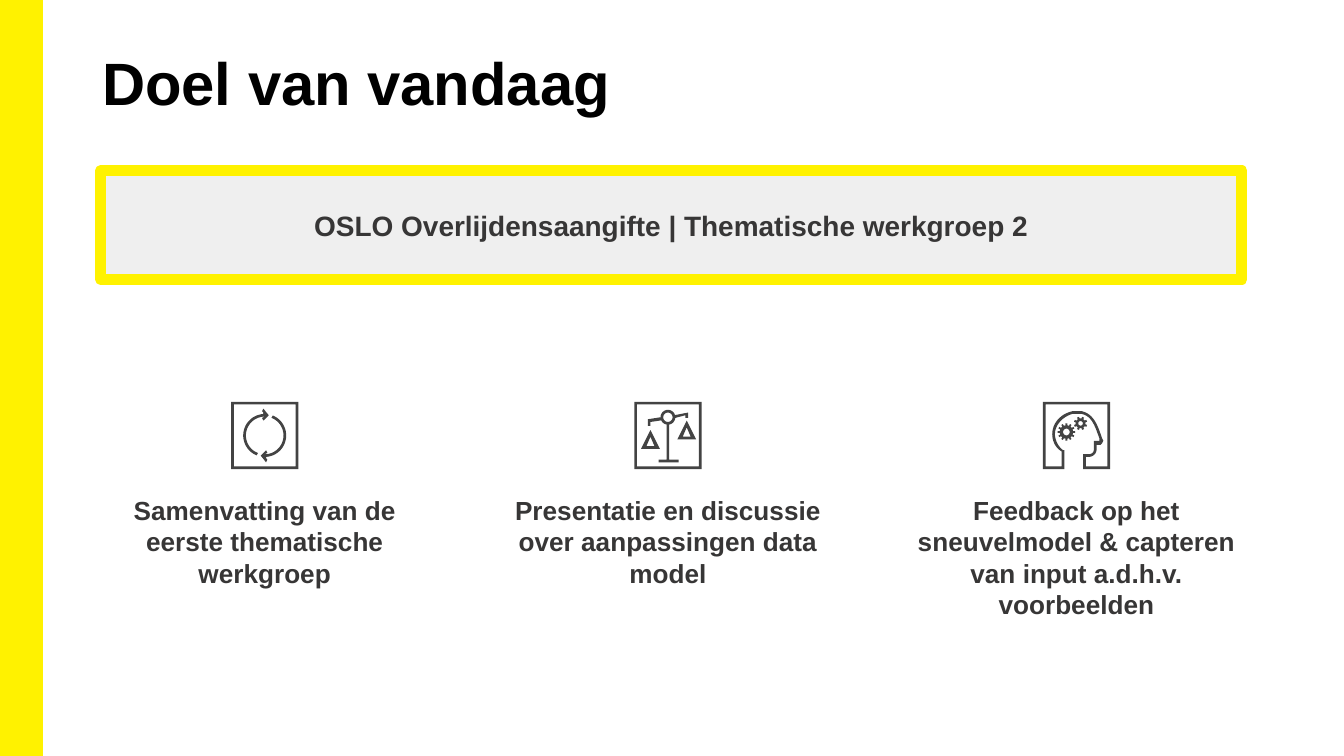
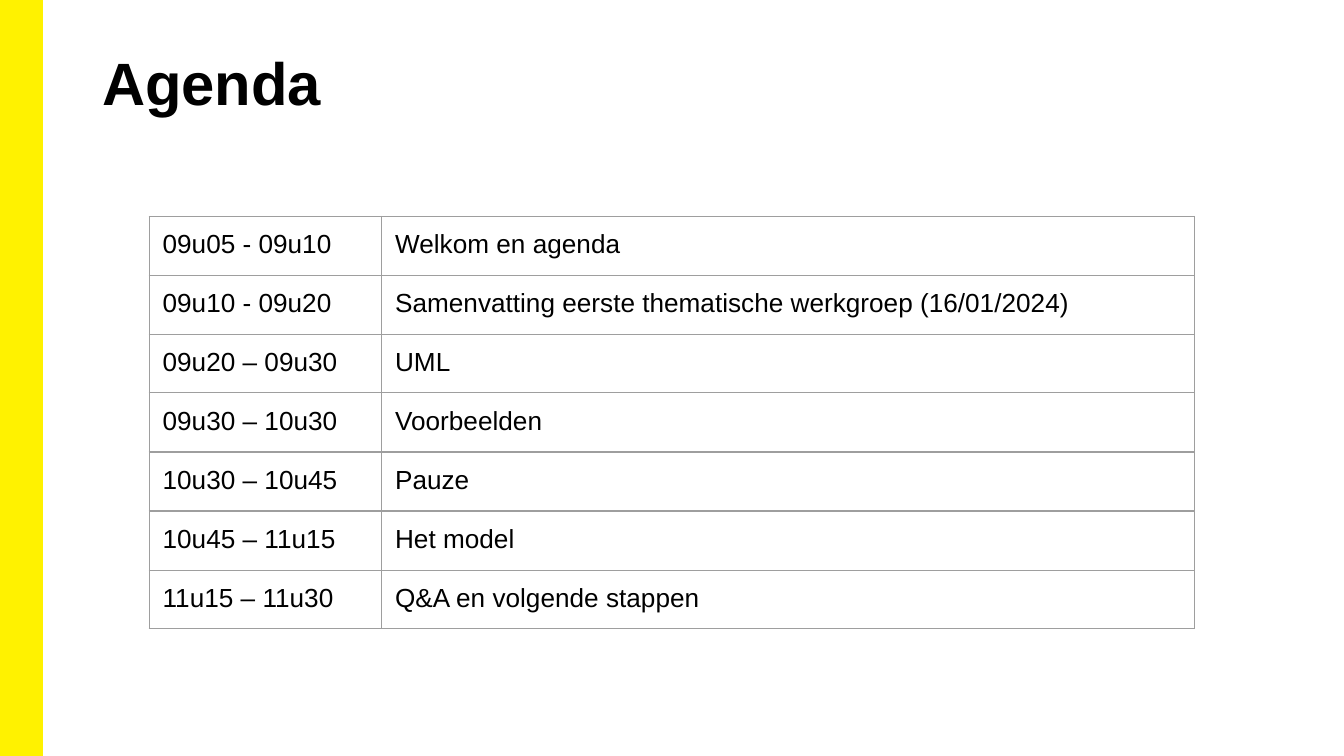
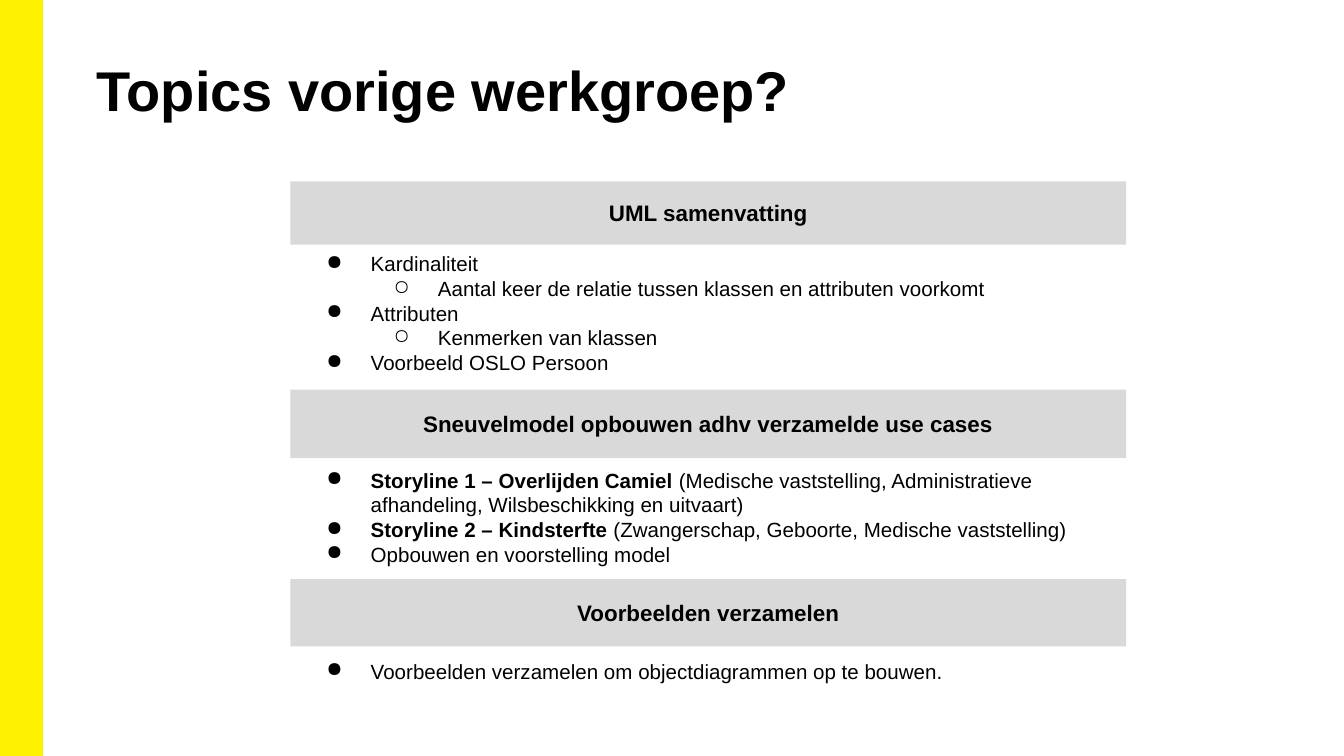
from math import cos, pi, radians, sin

from lxml.etree import SubElement
from pptx import Presentation
from pptx.dml.color import RGBColor
from pptx.enum.shapes import MSO_SHAPE as SHAPE
from pptx.enum.text import MSO_ANCHOR as ANCHOR, MSO_AUTO_SIZE as AUTO, PP_ALIGN as ALIGN
from pptx.oxml import parse_xml
from pptx.oxml.ns import nsdecls, qn
from pptx.util import Pt

PX = 9144  # EMU per px, 100 px to the inch
FONT = "Arial"
YELLOW = RGBColor(0xFF, 0xF2, 0x00)
BLACK = RGBColor(0x00, 0x00, 0x00)
INK = RGBColor(0x37, 0x36, 0x36)
ICON_GREY = RGBColor(0x43, 0x43, 0x43)
PALE = RGBColor(0xEF, 0xEF, 0xEF)
HEADING_GREY = RGBColor(0xD9, 0xD9, 0xD9)
RULE_GREY = RGBColor(0x9E, 0x9E, 0x9E)


# Shared helpers
def emu(*lengths):
    return [round(v * PX) for v in lengths]


def add_run(p, text, size, color=BLACK, bold=False):
    r = p.add_run()
    r.text = text
    r.font.name, r.font.size, r.font.bold = FONT, Pt(size), bold
    r.font.color.rgb = color


def set_frame(tf, insets, anchor=ANCHOR.TOP):
    tf.word_wrap = True
    tf.vertical_anchor = anchor
    tf.margin_left, tf.margin_top, tf.margin_right, tf.margin_bottom = emu(*insets)
    return tf


def add_text(s, box, insets):
    return set_frame(s.shapes.add_textbox(*emu(*box)).text_frame, insets)


def add_rect(s, box, fill, line=None, width=1):
    sp = s.shapes.add_shape(SHAPE.RECTANGLE, *emu(*box))
    sp.shadow.inherit = False
    sp.fill.solid()
    sp.fill.fore_color.rgb = fill
    if line is None:
        sp.line.fill.background()
    else:
        sp.line.color.rgb = line
        sp.line.width = Pt(width)
    return sp


def add_label(sp, text, size, color, insets):
    p = set_frame(sp.text_frame, insets, ANCHOR.MIDDLE).paragraphs[0]
    p.alignment = ALIGN.CENTER
    add_run(p, text, size, color, True)


def new_slide(prs, title, box=(69, 30, 862, 81), size=32):
    s = prs.slides.add_slide(prs.slide_layouts[6])
    add_rect(s, (0, 0, 31, prs.slide_height / PX), YELLOW, YELLOW)
    tf = add_text(s, box, (7, 4, 7, 4))
    add_run(tf.paragraphs[0], title, size, bold=True)
    return s


# Icon geometry: outlines on a 50 by 50 px grid
def arc(cx, cy, r, start, end, steps=24):
    angles = [radians(start + (end - start) * i / steps) for i in range(steps + 1)]
    return [(cx + r * cos(a), cy + r * sin(a)) for a in angles]


def curve(a, b, c, d, steps=12):
    points = []
    for i in range(steps + 1):
        t = i / steps
        u = 1 - t
        points.append(tuple(u**3 * a[k] + 3 * u * u * t * b[k] + 3 * u * t * t * c[k] + t**3 * d[k]
                            for k in (0, 1)))
    return points


def square(inset):
    far = 50 - inset
    return [(inset, inset), (inset, far), (far, far), (far, inset)]


def gear(cx, cy, tip, root, hole, teeth, turn=0):
    step = 2 * pi / teeth
    rim = []
    for i in range(teeth):
        for r, offset in ((root, -0.25), (tip, -0.2), (tip, 0.2), (root, 0.25)):
            a = radians(turn) + (i + offset) * step
            rim.append((cx + r * cos(a), cy + r * sin(a)))
    return [rim, arc(cx, cy, hole, 0, 360)]


def cycle_icon():
    arrow = (arc(25, 25, 14, 111, 270)
             + [(23, 12), (24, 14), (28, 10), (24, 5), (23, 7), (24, 8)]
             + arc(25, 25, 16, 266, 112))
    turned = [(50 - x, 50 - y) for x, y in arrow]
    return [[square(0), square(2)], [arrow], [turned]]


def scales_icon():
    pan = [[(12, 21), (5, 35), (19, 35)], [(12, 26), (15, 33), (9, 33)]]
    raised_pan = [[(x + 27, y - 7) for x, y in outline] for outline in pan]
    pivot = (25, 11.5)
    stand = ([(12, 15)] + arc(*pivot, 5.5, 155, 100)
             + [(24, 43), (18, 43), (18, 45), (33, 45), (33, 43), (26, 43)]
             + arc(*pivot, 5.5, 80, 5)
             + [(38, 10), (38, 12), (40, 12), (40, 8)]
             + arc(*pivot, 5.5, -17, -180)
             + [(10, 13), (10, 18), (12, 18)])
    return [[square(0), square(2), *pan, *raised_pan, stand, arc(*pivot, 3.5, 0, 360)]]


def head_icon():
    outer = ([(0, 0), (0, 50), (16, 50), (16, 36)]
             + curve((15, 36), (11, 33), (9, 28), (9, 24))
             + curve((9, 24), (9, 17), (15, 11), (22, 9))
             + curve((29, 9), (37, 11), (39, 19), (42, 27))
             + [(42, 29), (38, 29)]
             + curve((38, 35), (38, 38), (36, 39), (34, 39))
             + [(30, 39), (30, 50), (50, 50), (50, 0)])
    inner = ([(48, 48), (32, 48), (32, 41)]
             + curve((34, 41), (37, 41), (40, 39), (40, 35))
             + [(40, 32), (43, 32), (44, 31), (45, 29)]
             + curve((44, 27), (41, 18), (38, 9), (29, 7))
             + curve((22, 7), (13, 9), (7, 16), (7, 24))
             + curve((7, 24), (7, 29), (9, 34), (14, 37))
             + [(14, 48), (2, 48), (2, 2), (48, 2)])
    return [[outer, inner], gear(17.5, 22.5, 6.5, 5, 2.5, 12), gear(28, 16, 5, 3.7, 1.7, 8, 22.5)]


def add_icon(s, left, top, parts):
    shapes = []
    for first, *others in parts:
        first = [emu(*pt) for pt in first]
        fb = s.shapes.build_freeform(*first[0])
        fb.add_line_segments(first[1:], close=True)
        for outline in others:
            outline = [emu(*pt) for pt in outline]
            fb.move_to(*outline[0])
            fb.add_line_segments(outline[1:], close=True)
        sp = fb.convert_to_shape(*emu(left, top))
        sp.shadow.inherit = False
        sp.fill.solid()
        sp.fill.fore_color.rgb = ICON_GREY
        sp.line.fill.background()
        shapes.append(sp)
    if len(shapes) > 1:
        s.shapes.add_group_shape(shapes)


# Slide 1: goals
def add_goal(s, box, icon_left, icon, text):
    left, top, width, height = box
    add_icon(s, icon_left, top - 64, icon)
    p = add_text(s, (left, top, width, height), (10, 5, 10, 5)).paragraphs[0]
    p.alignment = ALIGN.CENTER
    add_run(p, text, 14, INK, True)


def goals_slide(prs):
    s = new_slide(prs, "Doel van vandaag")
    banner = add_rect(s, (75, 127, 849, 81), PALE, YELLOW, 6)
    add_label(banner, "OSLO Overlijdensaangifte | Thematische werkgroep 2", 15, INK, (10, 5, 10, 5))
    goals = [
        (61, 272, 172, cycle_icon(), "Samenvatting van de eerste thematische werkgroep"),
        (357, 280, 472, scales_icon(), "Presentatie en discussie over aanpassingen data model"),
        (661, 280, 776, head_icon(),
         "Feedback op het sneuvelmodel & capteren van input a.d.h.v. voorbeelden"),
    ]
    for left, width, icon_left, icon, text in goals:
        add_goal(s, (left, 363, width, 128), icon_left, icon, text)


# Slide 2: agenda table
AGENDA = [
    ("09u05 - 09u10", "Welkom en agenda", 44),
    ("09u10 - 09u20", "Samenvatting eerste thematische werkgroep (16/01/2024)", 44),
    ("09u20 – 09u30", "UML", 41),
    ("09u30 – 10u30", "Voorbeelden", 44),
    ("10u30 – 10u45", "Pauze", 44),
    ("10u45 – 11u15", "Het model", 44),
    ("11u15 – 11u30", "Q&A en volgende stappen", 39),
]


def fill_cell(cell, text):
    cell.fill.background()
    cell.margin_left = cell.margin_top = cell.margin_right = cell.margin_bottom = 10 * PX
    add_run(cell.text_frame.paragraphs[0], text, 14)
    tcPr = cell._tc.get_or_add_tcPr()
    for i, side in enumerate("LRTB"):
        tcPr.insert(i, parse_xml(
            f'<a:ln{side} {nsdecls("a")} w="{Pt(0.75)}"><a:solidFill>'
            f'<a:srgbClr val="{RULE_GREY}"/></a:solidFill></a:ln{side}>'))


def agenda_slide(prs):
    s = new_slide(prs, "Agenda")
    height = sum(row[2] for row in AGENDA)
    table = s.shapes.add_table(len(AGENDA), 2, *emu(111, 161, 778, height)).table
    table.first_row = table.horz_banding = False
    for column, width in zip(table.columns, emu(173, 605)):
        column.width = width
    for i, (time, topic, row_height) in enumerate(AGENDA):
        table.rows[i].height = row_height * PX
        fill_cell(table.cell(i, 0), time)
        fill_cell(table.cell(i, 1), topic)


# Slide 3: topics; each bullet is (level, bold part, plain part)
TOPICS = [
    ("UML samenvatting", (135, 47), (181, 109), [
        (0, "", "Kardinaliteit"),
        (1, "", "Aantal keer de relatie tussen klassen en attributen voorkomt"),
        (0, "", "Attributen"),
        (1, "", "Kenmerken van klassen"),
        (0, "", "Voorbeeld OSLO Persoon"),
    ]),
    ("Sneuvelmodel opbouwen adhv verzamelde use cases", (290, 51), (342, 90), [
        (0, "Storyline 1 – Overlijden Camiel ",
         "(Medische vaststelling, Administratieve afhandeling, Wilsbeschikking en uitvaart)"),
        (0, "Storyline 2 – Kindsterfte", " (Zwangerschap, Geboorte, Medische vaststelling)"),
        (0, "", "Opbouwen en voorstelling model"),
    ]),
    ("Voorbeelden verzamelen", (431, 50), (484, 35), [
        (0, "", "Voorbeelden verzamelen om objectdiagrammen op te bouwen."),
    ]),
]


def set_bullet(p, level):
    p.level = level
    pPr = p._p.get_or_add_pPr()
    pPr.set("marL", str(50 * (level + 1) * PX))
    pPr.set("indent", str(-33 * PX))
    SubElement(SubElement(pPr, qn("a:buClr")), qn("a:srgbClr")).set("val", str(BLACK))
    SubElement(pPr, qn("a:buChar")).set("char", "●○"[level])


def add_topic(s, left, width, heading, band, body, bullets):
    sp = add_rect(s, (left, band[0], width, band[1]), HEADING_GREY)
    add_label(sp, heading, 12, BLACK, (0, 0, 0, 0))
    tf = add_text(s, (left, body[0], width, body[1]), (10, 6, 10, 10))
    tf.auto_size = AUTO.SHAPE_TO_FIT_TEXT
    for i, (level, strong, plain) in enumerate(bullets):
        p = tf.add_paragraph() if i else tf.paragraphs[0]
        set_bullet(p, level)
        if strong:
            add_run(p, strong, 11, bold=True)
        add_run(p, plain, 11)


def topics_slide(prs):
    s = new_slide(prs, "Topics vorige werkgroep?", (65, 37, 869, 81), 30)
    for topic in TOPICS:
        add_topic(s, 216, 622, *topic)


def main():
    prs = Presentation()
    prs.slide_width = 1000 * PX
    prs.slide_height = prs.slide_width * 9 // 16
    goals_slide(prs)
    agenda_slide(prs)
    topics_slide(prs)
    prs.save("out.pptx")


if __name__ == "__main__":
    main()
